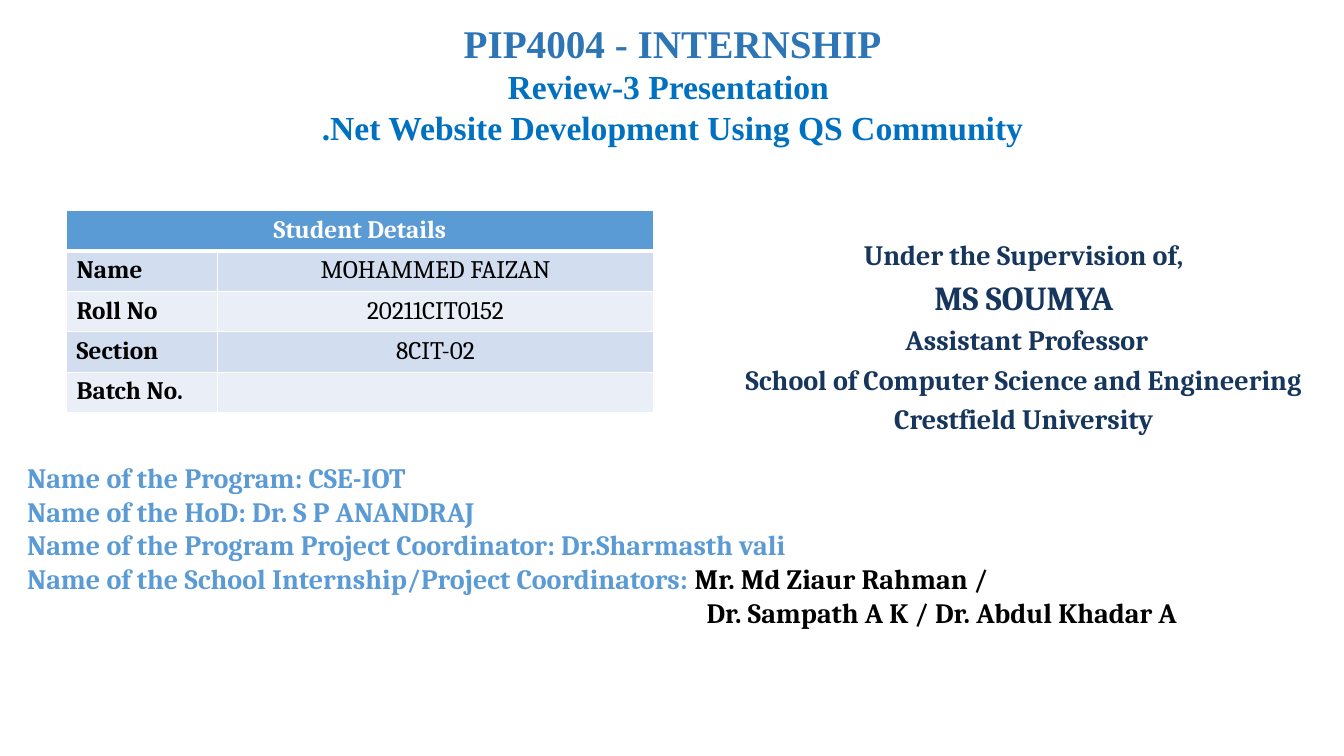
from lxml import etree
from pptx import Presentation
from pptx.dml.color import RGBColor
from pptx.enum.text import MSO_ANCHOR, PP_ALIGN
from pptx.oxml.ns import qn
from pptx.util import Inches, Pt

WHITE = RGBColor(0xFF, 0xFF, 0xFF)
BLACK = RGBColor(0, 0, 0)
TITLE_BLUE = RGBColor(0x2E, 0x75, 0xB6)
SUBTITLE_BLUE = RGBColor(0x00, 0x70, 0xC0)
NAVY = RGBColor(0x17, 0x36, 0x5D)
SKY = RGBColor(0x5B, 0x9B, 0xD5)
BAND_DARK = RGBColor(0xD2, 0xDE, 0xEF)
BAND_LIGHT = RGBColor(0xEA, 0xEF, 0xF7)


def style(para, size, color, font="Cambria", bold=True, align=PP_ALIGN.LEFT):
    para.alignment = align
    for span in para.runs:
        span.font.name = font
        span.font.size = Pt(size)
        span.font.bold = bold
        span.font.color.rgb = color


def add_text(page, left, top, width, height, lines):
    """Add a wrapped text box with one paragraph per line."""
    box = page.shapes.add_textbox(Inches(left), Inches(top), Inches(width), Inches(height))
    box.text_frame.word_wrap = True
    box.text_frame.text = "\n".join(lines)
    return box.text_frame.paragraphs


deck = Presentation()
deck.slide_width, deck.slide_height = Inches(13.33), Inches(7.5)
page = deck.slides.add_slide(deck.slide_layouts[6])

# Supervisor
supervisor = add_text(page, 7.14, 2.31, 6.03, 2.21, [
    "Under the Supervision of,",
    "MS SOUMYA",
    " Assistant Professor",
    "School of Computer Science and Engineering",
    "Crestfield University",
])
for index, para in enumerate(supervisor):
    style(para, 24 if index == 1 else 20, NAVY, align=PP_ALIGN.CENTER)
    para.space_before = Pt(4 if index else 0)

# Program and coordinators
program = add_text(page, 0.17, 4.52, 13.0, 1.71, [
    "Name of the Program: CSE-IOT",
    "Name of the HoD: Dr. S P ANANDRAJ",
    "Name of the Program Project Coordinator: Dr.Sharmasth vali",
    "Name of the School Internship/Project Coordinators: ",
    "Dr. Sampath A K / Dr. Abdul Khadar A",
])
program[3].add_run().text = "Mr. Md Ziaur Rahman /"
for para in program:
    style(para, 20, SKY)
for span in (program[3].runs[1], program[4].runs[0]):
    span.font.color.rgb = BLACK
program[4]._p.get_or_add_pPr().set("marL", str(Inches(6.74)))

# Title
title = add_text(page, 0.92, 0.14, 11.5, 1.71, [
    "PIP4004 - INTERNSHIP",
    "Review-3 Presentation ",
    ".Net Website Development Using QS Community",
])
for para, size, color in zip(title, (28, 24, 24), (TITLE_BLUE, SUBTITLE_BLUE, SUBTITLE_BLUE)):
    style(para, size, color, font="Times New Roman", align=PP_ALIGN.CENTER)

# Student details
details = [
    ("Student Details", ""),
    ("Name", "MOHAMMED FAIZAN"),
    ("Roll No", "20211CIT0152"),
    ("Section", "8CIT-02"),
    ("Batch No.", ""),
]
table = page.shapes.add_table(
    len(details), 2, Inches(0.66), Inches(2.09), Inches(5.82), Inches(2)).table
table.columns[0].width = Inches(1.5)
table.columns[1].width = Inches(4.32)
table.cell(0, 0).merge(table.cell(0, 1))

for row, values in enumerate(details):
    header = row == 0
    for column, value in enumerate(values):
        cell = table.cell(row, column)
        if not cell.is_spanned:
            cell.text = value
        centered = header or column == 1
        style(cell.text_frame.paragraphs[0], 18, WHITE if header else BLACK,
              bold=column == 0, align=PP_ALIGN.CENTER if centered else PP_ALIGN.LEFT)
        cell.vertical_anchor = MSO_ANCHOR.TOP
        props = cell._tc.get_or_add_tcPr()
        for side in ("lnL", "lnR", "lnT", "lnB"):
            thick = (header and side == "lnB") or (row == 1 and side == "lnT")
            line = etree.SubElement(props, qn("a:" + side), w=str(Pt(3 if thick else 1)))
            fill = etree.SubElement(line, qn("a:solidFill"))
            etree.SubElement(fill, qn("a:srgbClr"), val=str(WHITE))
        cell.fill.solid()
        cell.fill.fore_color.rgb = SKY if header else BAND_DARK if row % 2 else BAND_LIGHT

deck.save("out.pptx")
